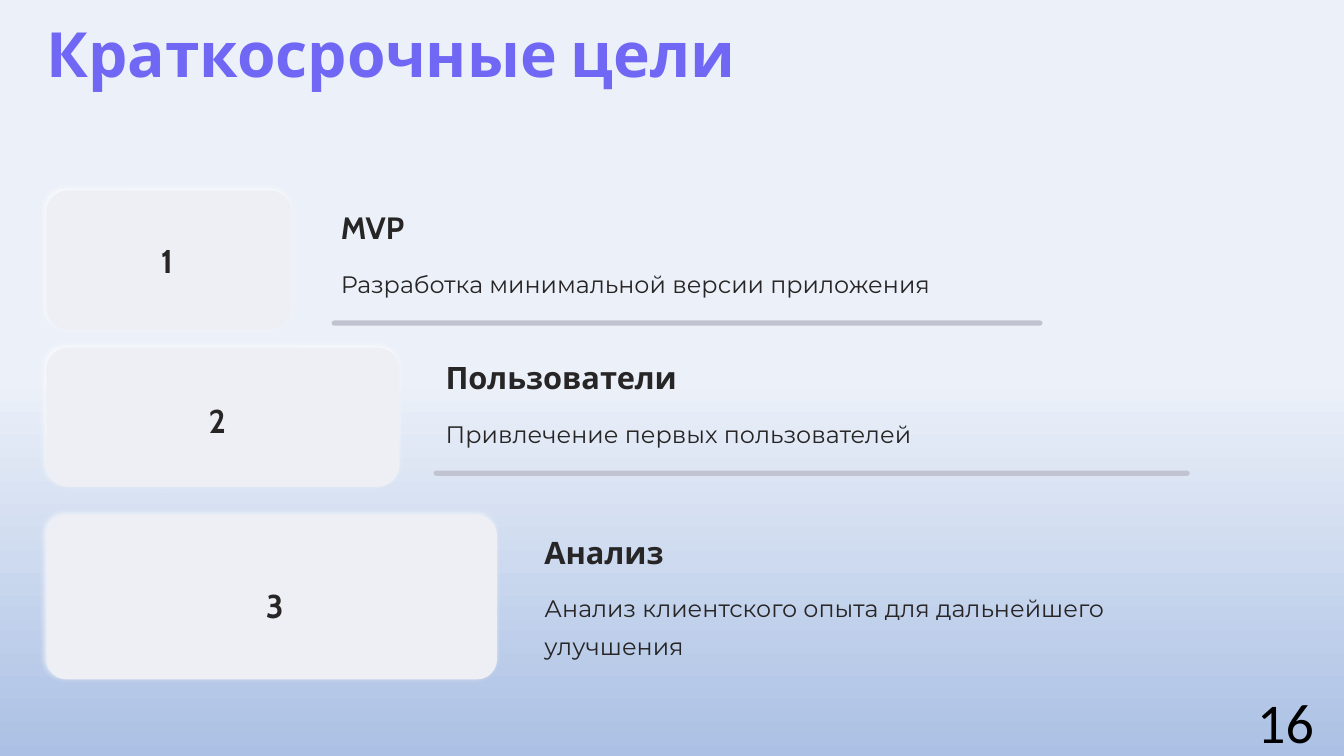
import pptx
import pptx.util
import pptx.dml.color
import pptx.enum.shapes
import pptx.enum.text
import pptx.oxml
import pptx.oxml.ns

COLORS = {
    "sky": "ECF1F9", "horizon": "ABC0E4", "title": "7068F4", "text": "272525",
    "card": "EEEFF5", "rule": "C1C3D0", "glow": "FFFFFF", "number": "000000",
}
SLIDE_W = pptx.util.Inches(13.33)
SLIDE_H = pptx.util.Inches(7.5)
ALIGN = pptx.enum.text.PP_ALIGN
ANCHOR = pptx.enum.text.MSO_ANCHOR
LEFT = 3.45  # left margin, percent of slide width

# Boxes are (left, top, width, height) in percent of the slide's size.
GOALS = [
    dict(name="MVP", detail="Разработка минимальной версии приложения",
         card=(LEFT, 25.2, 18.23, 18.4), corner=0.154, digit=(12.42, 30),
         text=(25.36, 27.33), detail_size=(50.86, 5.07), rule=(24.68, 52.89)),
    dict(name="Пользователи", detail="Привлечение первых пользователей",
         card=(LEFT, 46, 26.26, 18.4), corner=0.154, digit=(16.17, 51.2),
         text=(33.16, 47.2), detail_size=(55.36, 5.07), rule=(32.26, 56.26)),
    dict(name="Анализ", detail="Анализ клиентского опыта для дальнейшего улучшения",
         card=(LEFT, 68.13, 33.53, 21.73), corner=0.121, digit=(20.44, 75.6),
         text=(40.51, 70.27), detail_size=(50.26, 10.13), rule=None),
]


def rgb(name):
    return pptx.dml.color.RGBColor.from_string(COLORS[name])


def place(box):
    """Turn a box in percent of the slide into EMU lengths."""
    return [round(share * side / 100)
            for share, side in zip(box, (SLIDE_W, SLIDE_H) * 2)]


def set_text(sp, text, font, size, color, bold=False, align=ALIGN.LEFT,
             spacing=None, wrap=False):
    tf = sp.text_frame
    tf.auto_size = pptx.enum.text.MSO_AUTO_SIZE.NONE
    tf.word_wrap = wrap
    tf.vertical_anchor = ANCHOR.TOP
    tf.margin_left = tf.margin_top = tf.margin_right = tf.margin_bottom = 0
    tf.text = text
    p = tf.paragraphs[0]
    p.alignment = align
    if spacing:
        p.line_spacing = pptx.util.Pt(spacing)
    p.font.name = font
    p.font.size = pptx.util.Pt(size)
    p.font.bold = bold
    p.font.color.rgb = rgb(color)


def add_text(s, box, *args, **kwargs):
    sp = s.shapes.add_textbox(*place(box))
    set_text(sp, *args, **kwargs)
    return sp


def add_rounded(s, box, color, corner):
    sp = s.shapes.add_shape(
        pptx.enum.shapes.MSO_SHAPE.ROUNDED_RECTANGLE, *place(box))
    sp.adjustments[0] = corner
    sp.fill.solid()
    sp.fill.fore_color.rgb = rgb(color)
    sp.line.fill.background()
    sp.shadow.inherit = False
    return sp


def add_glow(sp):
    """Give a card its soft light shadow towards the upper left."""
    effects = sp._element.spPr.find(pptx.oxml.ns.qn("a:effectLst"))
    effects.append(pptx.oxml.parse_xml(
        f'<a:outerShdw {pptx.oxml.ns.nsdecls("a")} blurRad="{pptx.util.Pt(4.2)}" '
        f'dist="{pptx.util.Pt(2.1)}" dir="13500000" algn="ctr" rotWithShape="0">'
        f'<a:srgbClr val="{COLORS["glow"]}"><a:alpha val="70000"/></a:srgbClr>'
        '</a:outerShdw>'))


def add_goal(s, number, goal):
    add_glow(add_rounded(s, goal["card"], "card", goal["corner"]))
    center, top = goal["digit"]
    add_text(s, (center - 1.24, top, 2.48, 5.6), str(number), "Cabin", 23.5,
             "text", bold=True, align=ALIGN.CENTER, spacing=38)
    left, top = goal["text"]
    add_text(s, (left, top, 23.41, 5.2), goal["name"], "Cabin", 22, "text",
             bold=True, spacing=28)
    add_text(s, (left, top + 7.07, *goal["detail_size"]), goal["detail"],
             "Montserrat", 17, "text", spacing=27, wrap=goal["rule"] is None)
    if goal["rule"]:
        rule_left, rule_width = goal["rule"]
        add_rounded(s, (rule_left, top + 15.07, rule_width, 0.67), "rule", 0.5)


def set_background(s):
    fill = s.background.fill
    fill.gradient()
    fill.gradient_angle = 270
    for stop, position, color in zip(fill.gradient_stops, (0.5, 1),
                                     ("sky", "horizon")):
        stop.position = position
        stop.color.rgb = rgb(color)


def set_title(s, text):
    sp = s.shapes.title
    sp.left, sp.top, sp.width, sp.height = place((LEFT, 1.47, 51.76, 10.4))
    set_text(sp, text, "Cabin", 44.5, "title", bold=True, spacing=56)


def add_slide_number(s, number):
    sp = add_text(s, (75.99, 92.67, 22.51, 5.33), str(number), "Calibri", 40,
                  "number", align=ALIGN.RIGHT, wrap=True)
    tf = sp.text_frame
    tf.vertical_anchor = ANCHOR.MIDDLE
    tf.margin_left = tf.margin_right = pptx.util.Inches(0.1)
    tf.margin_top = tf.margin_bottom = pptx.util.Inches(0.05)


def main():
    prs = pptx.Presentation()
    prs.slide_width, prs.slide_height = SLIDE_W, SLIDE_H
    s = prs.slides.add_slide(prs.slide_layouts.get_by_name("Title Only"))
    set_background(s)
    set_title(s, "Краткосрочные цели")
    for number, goal in enumerate(GOALS, 1):
        add_goal(s, number, goal)
    add_slide_number(s, 16)
    prs.save("out.pptx")


if __name__ == "__main__":
    main()
